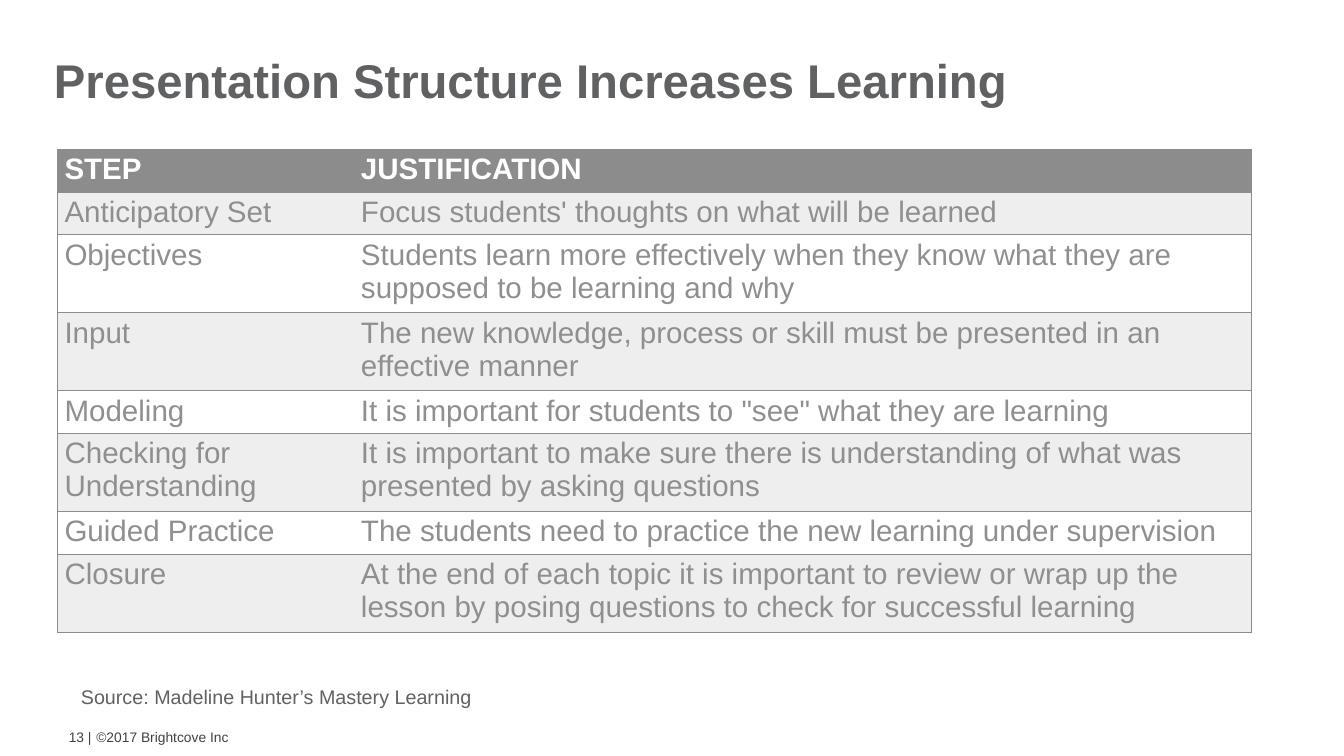
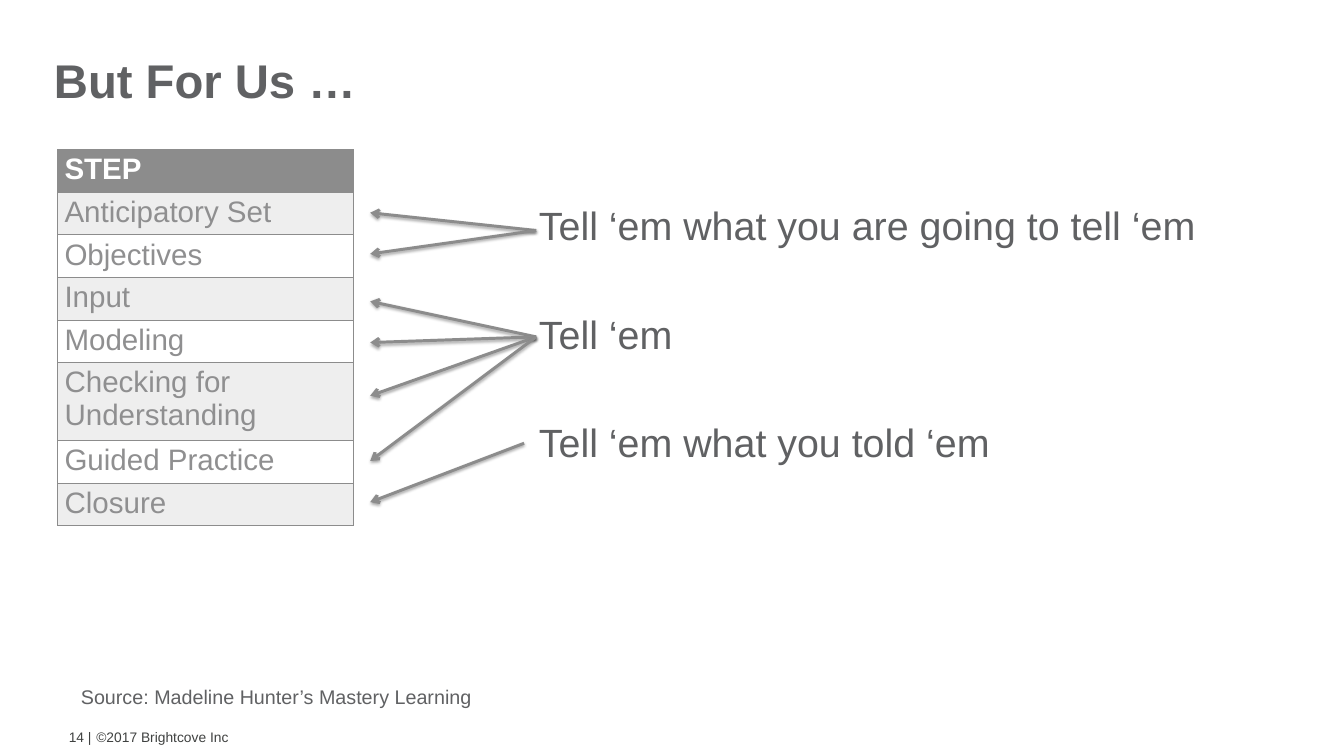
from dataclasses import dataclass

from lxml import etree
from pptx import Presentation
from pptx.dml.color import RGBColor
from pptx.enum import shapes, text
from pptx.oxml import ns
from pptx.util import Inches, Pt

# Shared style
FONT = "Arial"
DARK, FOOTER, BODY = "606163", "3F4140", "8F8F90"
ACCENT, BAND, WHITE = "8C8C8C", "EEEEEE", "FFFFFF"
WIDE_INSETS = (0.17, 0.08)
NARROW_INSETS = (0.1, 0.05)
NO_TABLE_STYLE = "{2D5ABB26-0587-4C30-8999-92F81FD0307C}"
STEP_WIDTH, JUSTIFICATION_WIDTH = 4.18, 12.65
ROW_HEIGHT = 0.41
ARROW_TIP_X = 5.22


@dataclass(frozen=True)
class Step:
    name: str
    justification: str


@dataclass(frozen=True)
class ArrowFan:
    start_x: float
    start_y: float
    tip_ys: tuple[float, ...]


STEPS = [
    Step("STEP", "JUSTIFICATION"),
    Step("Anticipatory Set", "Focus students' thoughts on what will be learned"),
    Step("Objectives", "Students learn more effectively when they know what they are "
         "supposed to be learning and why"),
    Step("Input", "The new knowledge, process or skill must be presented in an "
         "effective manner"),
    Step("Modeling", 'It is important for students to "see" what they are learning'),
    Step("Checking for Understanding", "It is important to make sure there is "
         "understanding of what was presented by asking questions"),
    Step("Guided Practice", "The students need to practice the new learning under "
         "supervision"),
    Step("Closure", "At the end of each topic it is important to review or wrap up the "
         "lesson by posing questions to check for successful learning"),
]
MESSAGES = ["Tell ‘em what you are going to tell ‘em", "Tell ‘em",
            "Tell ‘em what you told ‘em"]
ARROW_FANS = [
    ArrowFan(7.56, 3.25, (3, 3.58)),
    ArrowFan(7.39, 6.25, (7.08,)),
    ArrowFan(7.56, 4.75, (4.25, 4.83, 5.58, 6.5)),
]


def color(value: str) -> RGBColor:
    return RGBColor.from_string(value)


def add_child(parent, tag: str, **attributes):
    element = etree.SubElement(parent, ns.qn(tag))
    for name, value in attributes.items():
        element.set(name, str(value))
    return element


def write_text(frame, lines: list[str], *, size: float, fill: str, bold: bool = False,
               align=text.PP_ALIGN.LEFT, gap: float = 0) -> None:
    for index, line in enumerate(lines):
        paragraph = frame.paragraphs[0] if index == 0 else frame.add_paragraph()
        paragraph.alignment = align
        if index:
            paragraph.space_before = Pt(gap)
        run = paragraph.add_run()
        run.text = line
        run.font.name = FONT
        run.font.size = Pt(size)
        run.font.bold = bold
        run.font.color.rgb = color(fill)


def add_text(slide, lines: list[str], left: float, top: float, width: float,
             height: float, *, insets=NARROW_INSETS,
             anchor=text.MSO_ANCHOR.TOP, **style) -> None:
    box = slide.shapes.add_textbox(Inches(left), Inches(top), Inches(width), Inches(height))
    frame = box.text_frame
    frame.word_wrap = True
    frame.vertical_anchor = anchor
    frame.margin_left = frame.margin_right = Inches(insets[0])
    frame.margin_top = frame.margin_bottom = Inches(insets[1])
    write_text(frame, lines, **style)


def add_borders(cell, sides: str) -> None:
    properties = cell._tc.get_or_add_tcPr()
    for side in "LRTB":
        line = add_child(properties, f"a:ln{side}", w=Pt(1))
        if side in sides:
            add_child(add_child(line, "a:solidFill"), "a:srgbClr", val=ACCENT)
        else:
            add_child(line, "a:noFill")


def add_step_table(slide, rows: list[list[str]], widths: list[float]) -> None:
    table = slide.shapes.add_table(
        len(rows), len(widths), Inches(0.81), Inches(2.11),
        Inches(sum(widths)), Inches(ROW_HEIGHT * len(rows))).table
    table._tbl.tblPr.find(ns.qn("a:tableStyleId")).text = NO_TABLE_STYLE
    for column, width in zip(table.columns, widths):
        column.width = Inches(width)
    last = len(widths) - 1
    for row_index, row in enumerate(rows):
        table.rows[row_index].height = Inches(ROW_HEIGHT)
        header = row_index == 0
        background = ACCENT if header else (BAND if row_index % 2 else WHITE)
        for column_index, value in enumerate(row):
            cell = table.cell(row_index, column_index)
            sides = "TB" + "L" * (column_index == 0) + "R" * (column_index == last)
            add_borders(cell, sides)
            cell.fill.solid()
            cell.fill.fore_color.rgb = color(background)
            write_text(cell.text_frame, [value], size=30, bold=header,
                       fill=WHITE if header else BODY)


def add_arrow(slide, start_x: float, start_y: float, end_x: float, end_y: float) -> None:
    arrow = slide.shapes.add_connector(
        shapes.MSO_CONNECTOR.STRAIGHT, Inches(start_x), Inches(start_y),
        Inches(end_x), Inches(end_y))
    arrow.line.color.rgb = color(ACCENT)
    arrow.line.width = Pt(3)
    add_child(arrow.line._get_or_add_ln(), "a:tailEnd", type="arrow")
    effects = add_child(arrow._element.spPr, "a:effectLst")
    shadow = add_child(effects, "a:outerShdw", blurRad=Pt(3.1), dist=Pt(1.8),
                       dir=5400000, rotWithShape=0)
    add_child(add_child(shadow, "a:srgbClr", val="000000"), "a:alpha", val=35000)


def add_base_slide(presentation, title: str, number: int):
    slide = presentation.slides.add_slide(presentation.slide_layouts[6])
    middle = text.MSO_ANCHOR.MIDDLE
    add_text(slide, [title], 0.59, 0.33, 16.1, 1.59, insets=WIDE_INSETS,
             anchor=middle, size=48, fill=DARK, bold=True)
    add_text(slide, ["©2017 Brightcove Inc"], 1.26, 10.11, 6, 0.57,
             anchor=middle, size=14, fill=FOOTER)
    add_text(slide, [f"{number} |"], 0.65, 10.11, 0.74, 0.57,
             anchor=middle, size=14, fill=FOOTER, align=text.PP_ALIGN.RIGHT)
    add_text(slide, ["Source: Madeline Hunter’s Mastery Learning"],
             0.97, 9.58, 15.92, 0.67, insets=WIDE_INSETS, size=20, fill=DARK)
    return slide


def main() -> None:
    presentation = Presentation()
    presentation.slide_width = Inches(18.95)
    presentation.slide_height = Inches(10.66)

    # Steps with their justification
    slide = add_base_slide(presentation, "Presentation Structure Increases Learning", 13)
    add_step_table(slide, [[step.name, step.justification] for step in STEPS],
                   [STEP_WIDTH, JUSTIFICATION_WIDTH])

    # Steps matched to three messages
    slide = add_base_slide(presentation, "But For Us …", 14)
    add_step_table(slide, [[step.name] for step in STEPS], [STEP_WIDTH])
    add_text(slide, MESSAGES, 7.43, 2.76, 9.97, 4.07, insets=WIDE_INSETS,
             size=40, fill=DARK, gap=62)
    for fan in ARROW_FANS:
        for tip_y in fan.tip_ys:
            add_arrow(slide, fan.start_x, fan.start_y, ARROW_TIP_X, tip_y)

    presentation.save("out.pptx")


if __name__ == "__main__":
    main()
